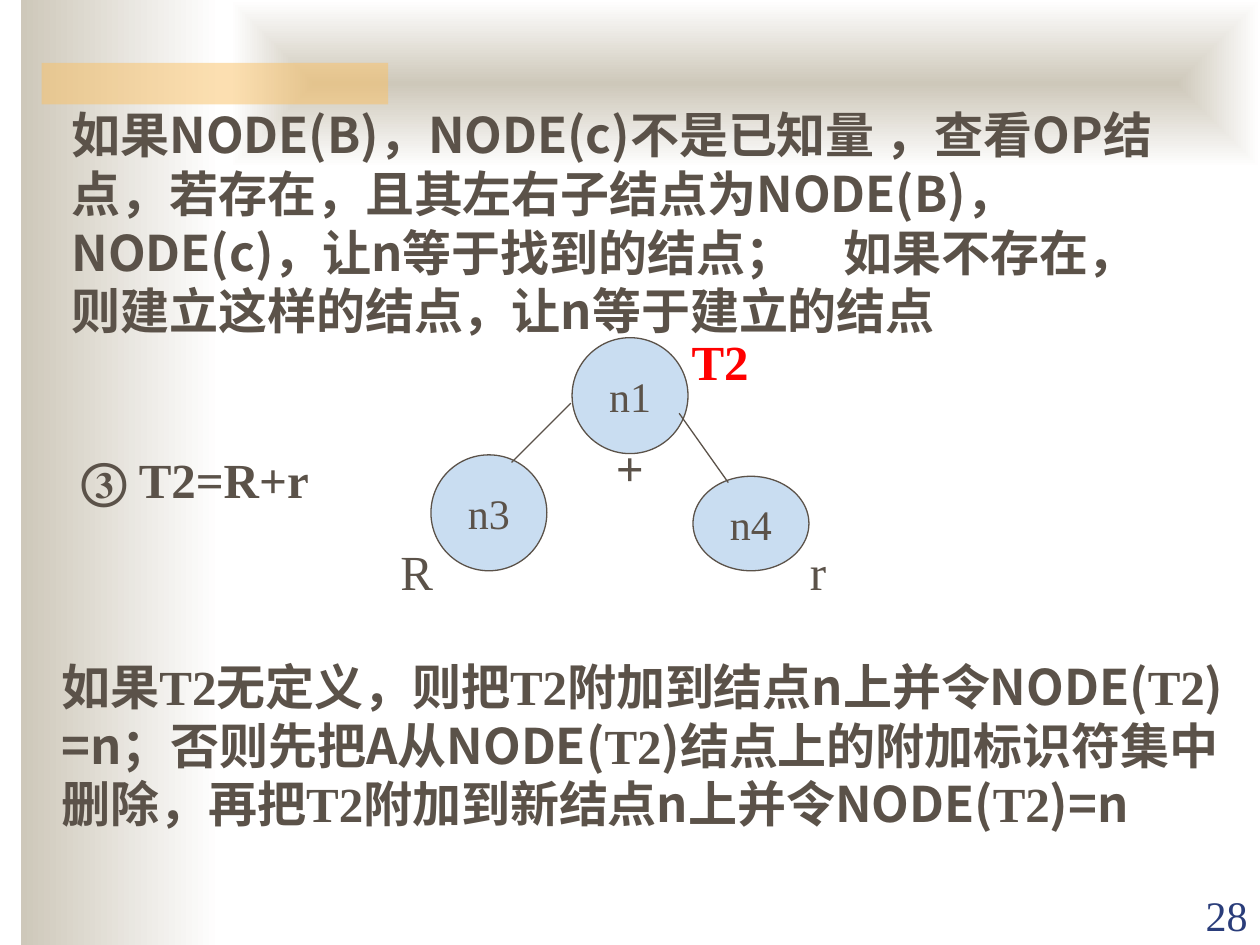
from lxml import etree
from pptx import Presentation
from pptx.dml.color import RGBColor
from pptx.enum.shapes import MSO_CONNECTOR, MSO_SHAPE
from pptx.enum.text import MSO_ANCHOR, PP_ALIGN
from pptx.oxml.ns import qn
from pptx.util import Inches, Pt

RECTANGLE, OVAL = MSO_SHAPE.RECTANGLE, MSO_SHAPE.OVAL
STRAIGHT = MSO_CONNECTOR.STRAIGHT
TOP, MIDDLE, BOTTOM = MSO_ANCHOR.TOP, MSO_ANCHOR.MIDDLE, MSO_ANCHOR.BOTTOM
LEFT, CENTER, RIGHT = PP_ALIGN.LEFT, PP_ALIGN.CENTER, PP_ALIGN.RIGHT

SERIF, SANS = "Times New Roman", "Noto Sans CJK JP"
INK, NODE_BLUE, RED, NAVY = "5B5249", "C9DDF1", "FF0000", "2A3D7A"
SAND, WHITE, ORANGE = "CEC8BA", "FFFFFF", "FAC164"

LOOKUP_RULE = (
    "如果NODE(B)，NODE(c)不是已知量 ，查看OP结点，若存在，且其左右子结点为NODE(B)，"
    "NODE(c)，让n等于找到的结点；　如果不存在，则建立这样的结点，让n等于建立的结点"
)
ATTACH_RULE = (
    "如果T2无定义，则把T2附加到结点n上并令NODE(T2) =n；否则先把A从NODE(T2)"
    "结点上的附加标识符集中删除，再把T2附加到新结点n上并令NODE(T2)=n"
)


def color(value):
    """Return the RGB colour for a hex string."""
    return RGBColor.from_string(value)


def format_run(run, font_name, size, ink, bold):
    """Set Latin and East Asian fonts, size, colour and weight of a run."""
    font = run.font
    font.size, font.bold, font.name = Pt(size), bold, font_name
    font.color.rgb = color(ink)
    latin = run._r.rPr.find(qn("a:latin"))
    east_asian = etree.Element(qn("a:ea"), typeface=font_name)
    latin.addnext(east_asian)


def add_text(slide, box, text, font_name=SERIF, size=28, ink=INK, bold=False,
             align=LEFT, anchor=TOP):
    """Add a wrapped one-paragraph text box and return its paragraph."""
    text_frame = slide.shapes.add_textbox(*map(Inches, box)).text_frame
    text_frame.word_wrap = True
    text_frame.vertical_anchor = anchor
    text_frame.text = text
    paragraph = text_frame.paragraphs[0]
    paragraph.alignment = align
    for run in paragraph.runs:
        format_run(run, font_name, size, ink, bold)
    return paragraph


def add_mixed_text(slide, box, text, term):
    """Add bold sans text in which every occurrence of a term is serif."""
    paragraph = add_text(slide, box, "")
    for index, piece in enumerate(text.split(term)):
        parts = [(term, SERIF)] if index else []
        for part, font_name in parts + [(piece, SANS)]:
            run = paragraph.add_run()
            run.text = part
            format_run(run, font_name, 28, INK, True)


def add_panel(slide, box):
    """Add a borderless rectangle without shadow."""
    shape = slide.shapes.add_shape(RECTANGLE, *map(Inches, box))
    shape.shadow.inherit = False
    shape.line.fill.background()
    return shape


def set_gradient(shape, start, end):
    """Fill a shape with a two-colour gradient running from right to left."""
    shape.fill.gradient()
    shape.fill.gradient_angle = 180
    for stop, value in zip(shape.fill.gradient_stops, (start, end)):
        stop.color.rgb = color(value)


def add_backdrop(slide):
    """Draw the side band, the top band and the translucent accent bar."""
    set_gradient(add_panel(slide, (0.17, 0, 1.58, 7.5)), WHITE, SAND)

    top_band = add_panel(slide, (1.83, 0, 8.17, 1.33))
    set_gradient(top_band, SAND, WHITE)
    linear = top_band._element.spPr.find(qn("a:gradFill")).find(qn("a:lin"))
    rectangular = etree.Element(qn("a:path"), path="rect")
    etree.SubElement(rectangular, qn("a:fillToRect"),
                     dict.fromkeys("ltrb", "50000"))
    linear.getparent().replace(linear, rectangular)

    accent = add_panel(slide, (0.33, 0.5, 2.75, 0.33))
    accent.fill.solid()
    accent.fill.fore_color.rgb = color(ORANGE)
    accent_color = accent._element.spPr.find(qn("a:solidFill"))[0]
    etree.SubElement(accent_color, qn("a:alpha"), val="50000")


def add_node(slide, box, label):
    """Draw one labelled tree node."""
    node = slide.shapes.add_shape(OVAL, *map(Inches, box))
    node.shadow.inherit = False
    node.fill.solid()
    node.fill.fore_color.rgb = color(NODE_BLUE)
    node.line.color.rgb = color(INK)
    node.line.width = Pt(0.75)
    text_frame = node.text_frame
    text_frame.word_wrap = False
    text_frame.vertical_anchor = MIDDLE
    text_frame.text = label
    paragraph = text_frame.paragraphs[0]
    paragraph.alignment = CENTER
    format_run(paragraph.runs[0], SERIF, 24, INK, False)


def add_edge(slide, start, end):
    """Draw one tree edge."""
    edge = slide.shapes.add_connector(STRAIGHT, *map(Inches, start + end))
    edge.line.color.rgb = color(INK)
    edge.line.width = Pt(0.75)
    etree.SubElement(edge._element.spPr, qn("a:effectLst"))


def add_tree(slide, left, top):
    """Draw the expression tree for R+r from its top left corner."""
    def place(x, y, width, height):
        return left + x, top + y, width, height

    for label, box in (("n3", (0.34, 1.03, 0.92, 0.92)),
                       ("n4", (2.42, 1.2, 0.92, 0.75)),
                       ("n1", (1.46, 0.1, 0.92, 0.92))):
        add_node(slide, place(*box), label)
    for start, end in (((1.45, 0.62), (0.98, 1.09)),
                       ((2.31, 0.7), (2.7, 1.25))):
        add_edge(slide, (left + start[0], top + start[1]),
                 (left + end[0], top + end[1]))
    for label, box, ink, bold in (
            ("R", (0, 1.67, 0.75, 0.57), INK, False),
            ("r", (3.25, 1.67, 0.58, 0.57), INK, False),
            ("+", (1.71, 0.84, 0.5, 0.57), INK, True),
            ("T2", (2.31, 0, 0.75, 0.57), RED, True)):
        add_text(slide, place(*box), label, ink=ink, bold=bold)


def main():
    """Build and save the slide."""
    presentation = Presentation()
    presentation.slide_width = Inches(10)
    presentation.slide_height = Inches(7.5)
    slide = presentation.slides.add_slide(presentation.slide_layouts[6])
    add_backdrop(slide)
    add_text(slide, (9, 7.01, 1, 0.5), "28", size=24, ink=NAVY,
             align=RIGHT, anchor=BOTTOM)
    add_text(slide, (0.47, 0.78, 9, 2.68), LOOKUP_RULE, SANS, bold=True)
    add_tree(slide, 3.08, 2.58)
    add_mixed_text(slide, (0.39, 5.16, 9.42, 1.97), ATTACH_RULE, "T2")
    add_text(slide, (0.55, 3.52, 2.83, 0.57), "③ T2=R+r", bold=True)
    presentation.save("out.pptx")


if __name__ == "__main__":
    main()
